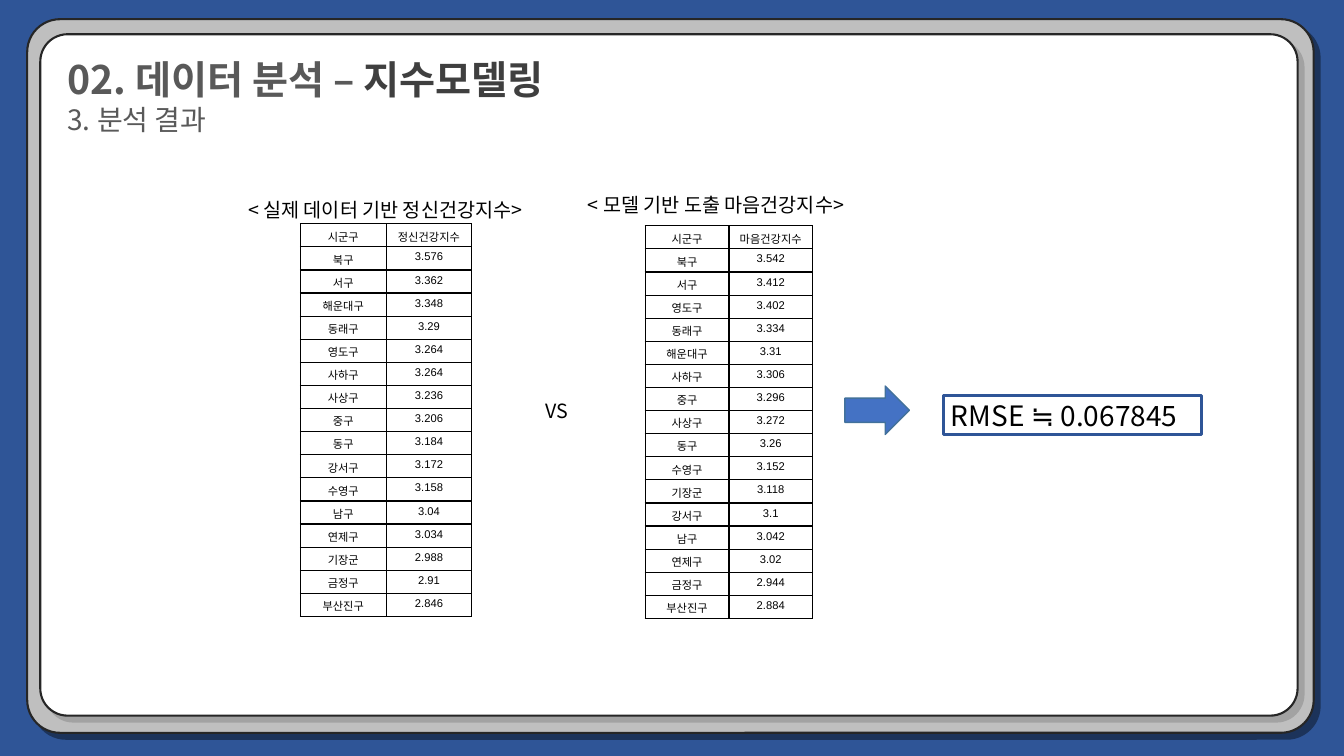
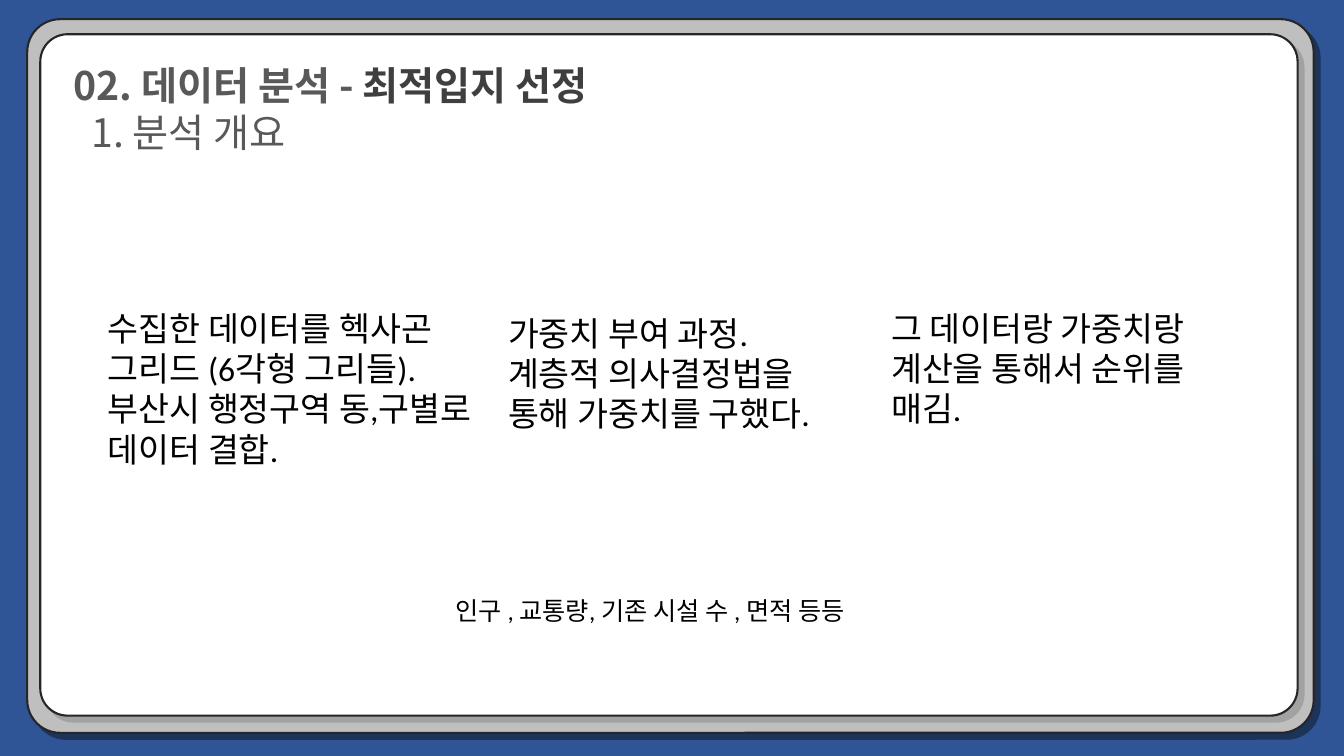
from dataclasses import dataclass

from lxml import etree
from pptx import Presentation
from pptx.dml.color import RGBColor
from pptx.enum.shapes import MSO_SHAPE
from pptx.enum.text import MSO_ANCHOR, PP_ALIGN
from pptx.oxml.ns import qn
from pptx.util import Inches, Pt

ROUNDED, RECTANGLE, ARROW = (
    MSO_SHAPE.ROUNDED_RECTANGLE, MSO_SHAPE.RECTANGLE, MSO_SHAPE.RIGHT_ARROW)
TOP, MIDDLE = MSO_ANCHOR.TOP, MSO_ANCHOR.MIDDLE
LEFT, CENTER = PP_ALIGN.LEFT, PP_ALIGN.CENTER


@dataclass(frozen=True)
class Theme:
    navy: str = "2F5597"
    blue: str = "4472C4"
    arrow_edge: str = "42719B"
    silver: str = "BFBFBF"
    white: str = "FFFFFF"
    black: str = "000000"
    outline: str = "262626"
    gray: str = "595959"
    dark_gray: str = "3F3F3F"
    korean: str = "Noto Sans CJK KR"
    latin: str = "Calibri"
    numeric: str = "Arial"
    title: int = 28
    body: int = 24
    result: int = 20
    note: int = 18
    label: int = 14
    cell: int = 8
    leading: float = 1.2


THEME = Theme()


@dataclass(frozen=True)
class Box:
    left: float
    top: float
    width: float
    height: float

    def lengths(self) -> tuple:
        return tuple(Inches(v) for v in (self.left, self.top, self.width, self.height))


@dataclass(frozen=True)
class Span:
    text: str
    size: int
    font: str = THEME.korean
    color: str = THEME.black
    bold: bool = False


@dataclass(frozen=True)
class Panel:
    box: Box
    kind: int
    fill: str
    line: str
    weight: float
    corner: float | None = None
    shadow_alpha: int = 0


@dataclass(frozen=True)
class Ranking:
    caption: str
    caption_box: Box
    table_box: Box
    header: tuple[str, str]
    rows: str


@dataclass(frozen=True)
class Heading:
    box: Box
    chapter: str
    topic: str
    section: str
    section_size: int
    indent: float = 0


# Shared frame: a silver rim around a white page
FRAME = (
    Panel(Box(0.27, 0.19, 12.76, 7.08), ROUNDED, THEME.silver, THEME.outline, 1.5, 0.046, 40),
    Panel(Box(0.4, 0.34, 12.47, 6.76), ROUNDED, THEME.white, THEME.outline, 1.5, 0.04, 14),
)

MODELING = Heading(Box(0.57, 0.5, 9.82, 0.91), "02. 데이터 분석 – ", "지수모델링",
                   "3. 분석 결과", THEME.result)
SITE_CHOICE = Heading(Box(0.63, 0.56, 8.58, 1.35), "02. 데이터 분석 - ", "최적입지 선정",
                      "1. 분석 개요", THEME.title, 0.18)

RANKINGS = (
    Ranking(
        "< 실제 데이터 기반 정신건강지수>", Box(2.39, 1.92, 3.79, 0.31),
        Box(2.98, 2.22, 1.7, 3.9), ("시군구", "정신건강지수"),
        "북구 3.576, 서구 3.362, 해운대구 3.348, 동래구 3.29, 영도구 3.264, 사하구 3.264, "
        "사상구 3.236, 중구 3.206, 동구 3.184, 강서구 3.172, 수영구 3.158, 남구 3.04, "
        "연제구 3.034, 기장군 2.988, 금정구 2.91, 부산진구 2.846"),
    Ranking(
        "< 모델 기반 도출 마음건강지수>", Box(5.76, 1.87, 3.22, 0.31),
        Box(6.4, 2.24, 1.66, 3.9), ("시군구", "마음건강지수"),
        "북구 3.542, 서구 3.412, 영도구 3.402, 동래구 3.334, 해운대구 3.31, 사하구 3.306, "
        "중구 3.296, 사상구 3.272, 동구 3.26, 수영구 3.152, 기장군 3.118, 강서구 3.1, "
        "남구 3.042, 연제구 3.02, 금정구 2.944, 부산진구 2.884"),
)

STEPS = (
    (Box(0.97, 2.95, 3.85, 1.82),
     "수집한 데이터를 헥사곤 그리드 (6각형 그리들). 부산시 행정구역 동,구별로 데이터 결합."),
    (Box(4.94, 3, 3.39, 1.41), "가중치 부여 과정. 계층적 의사결정법을 통해 가중치를 구했다."),
    (Box(8.74, 2.95, 3.73, 1.41), "그 데이터랑 가중치랑 계산을 통해서 순위를 매김."),
)


def rgb(value: str) -> RGBColor:
    return RGBColor.from_string(value)


def write_paragraph(paragraph, spans: list[Span], align=LEFT, indent: float = 0) -> None:
    paragraph.alignment = align
    paragraph.line_spacing = Pt(max(span.size for span in spans) * THEME.leading)
    if indent:
        paragraph._p.get_or_add_pPr().set("marL", str(Inches(indent)))
    for span in spans:
        run = paragraph.add_run()
        run.text = span.text
        formats = {"size": Pt(span.size), "name": span.font, "bold": span.bold}
        for attribute, value in formats.items():
            setattr(run.font, attribute, value)
        run.font.color.rgb = rgb(span.color)
        east_asian = etree.Element(qn("a:ea"), typeface=THEME.korean)
        run._r.rPr.find(qn("a:latin")).addnext(east_asian)


def set_frame(frame, inset_x: float, inset_y: float, anchor=TOP) -> None:
    formats = {"word_wrap": True, "vertical_anchor": anchor,
               "margin_left": Inches(inset_x), "margin_right": Inches(inset_x),
               "margin_top": Inches(inset_y), "margin_bottom": Inches(inset_y)}
    for attribute, value in formats.items():
        setattr(frame, attribute, value)


def add_text(slide, box: Box, span: Span, inset_x: float = 0.07, inset_y: float = 0.04) -> None:
    frame = slide.shapes.add_textbox(*box.lengths()).text_frame
    set_frame(frame, inset_x, inset_y)
    write_paragraph(frame.paragraphs[0], [span])


def add_panel(slide, panel: Panel):
    shape = slide.shapes.add_shape(panel.kind, *panel.box.lengths())
    shape.fill.solid()
    shape.fill.fore_color.rgb = rgb(panel.fill)
    shape.line.color.rgb = rgb(panel.line)
    shape.line.width = Pt(panel.weight)
    shape.shadow.inherit = False
    if panel.corner is not None:
        shape.adjustments[0] = panel.corner
    if panel.shadow_alpha:
        effects = shape._element.spPr.find(qn("a:effectLst"))
        shadow = etree.SubElement(effects, qn("a:outerShdw"), blurRad="0", dist=str(Pt(6)),
                                  dir="2700000", algn="tl", rotWithShape="0")
        color = etree.SubElement(shadow, qn("a:srgbClr"), val=THEME.black)
        etree.SubElement(color, qn("a:alpha"), val=str(panel.shadow_alpha * 1000))
    return shape


def add_heading(slide, heading: Heading) -> None:
    frame = slide.shapes.add_textbox(*heading.box.lengths()).text_frame
    set_frame(frame, 0.1, 0.05)
    write_paragraph(frame.paragraphs[0], [
        Span(heading.chapter, THEME.title, color=THEME.gray, bold=True),
        Span(heading.topic, THEME.title, THEME.latin, THEME.dark_gray, True)])
    write_paragraph(frame.add_paragraph(),
                    [Span(heading.section, heading.section_size, color=THEME.gray)],
                    indent=heading.indent)


def add_page(prs, heading: Heading):
    slide = prs.slides.add_slide(prs.slide_layouts[6])
    for panel in FRAME:
        add_panel(slide, panel)
    add_heading(slide, heading)
    return slide


def fill_cell(cell, text: str, is_number: bool) -> None:
    formats = {"margin_left": Inches(0.05), "margin_right": Inches(0.05),
               "margin_top": Inches(0.03 if is_number else 0.07),
               "margin_bottom": Inches(0.02), "vertical_anchor": TOP}
    for attribute, value in formats.items():
        setattr(cell, attribute, value)
    write_paragraph(cell.text_frame.paragraphs[0],
                    [Span(text, THEME.cell, THEME.numeric)], CENTER)
    # Borders come before the fill in the cell properties
    properties = cell._tc.get_or_add_tcPr()
    for side in ("lnL", "lnR", "lnT", "lnB"):
        border = etree.SubElement(properties, qn(f"a:{side}"), w=str(Pt(1)))
        solid = etree.SubElement(border, qn("a:solidFill"))
        etree.SubElement(solid, qn("a:srgbClr"), val=THEME.black)
    cell.fill.background()


def add_ranking(slide, ranking: Ranking) -> None:
    add_text(slide, ranking.caption_box, Span(ranking.caption, THEME.label))
    entries = [ranking.header, *(row.split() for row in ranking.rows.split(", "))]
    table = slide.shapes.add_table(len(entries), 2, *ranking.table_box.lengths()).table
    table.first_row = table.horz_banding = False
    for row, entry in enumerate(entries):
        for column, text in enumerate(entry):
            fill_cell(table.cell(row, column), text, row > 0 and column == 1)


def build_results(prs) -> None:
    slide = add_page(prs, MODELING)
    for ranking in RANKINGS:
        add_ranking(slide, ranking)
    add_text(slide, Box(5.34, 3.92, 0.84, 0.31), Span("VS", THEME.label))
    # Model error
    error = add_panel(slide, Panel(Box(9.36, 3.92, 2.56, 0.39), RECTANGLE,
                                   THEME.white, THEME.navy, 2.25))
    set_frame(error.text_frame, 0.07, 0.04, MIDDLE)
    write_paragraph(error.text_frame.paragraphs[0], [Span("RMSE ≒ 0.067845", THEME.result)])
    add_panel(slide, Panel(Box(8.38, 3.83, 0.64, 0.48), ARROW,
                           THEME.blue, THEME.arrow_edge, 1))


def build_overview(prs) -> None:
    slide = add_page(prs, SITE_CHOICE)
    add_text(slide, Box(4.42, 5.81, 8.45, 0.44),
             Span("인구 , 교통량, 기존 시설 수 , 면적 등등", THEME.note, THEME.latin), 0.1, 0.1)
    for box, text in STEPS:
        add_text(slide, box, Span(text, THEME.body, THEME.latin), 0.1, 0.1)


def main() -> None:
    prs = Presentation()
    prs.slide_width, prs.slide_height = Inches(13.33), Inches(7.5)
    backdrop = prs.slide_master.background.fill
    backdrop.solid()
    backdrop.fore_color.rgb = rgb(THEME.navy)
    build_results(prs)
    build_overview(prs)
    prs.save("out.pptx")


if __name__ == "__main__":
    main()
